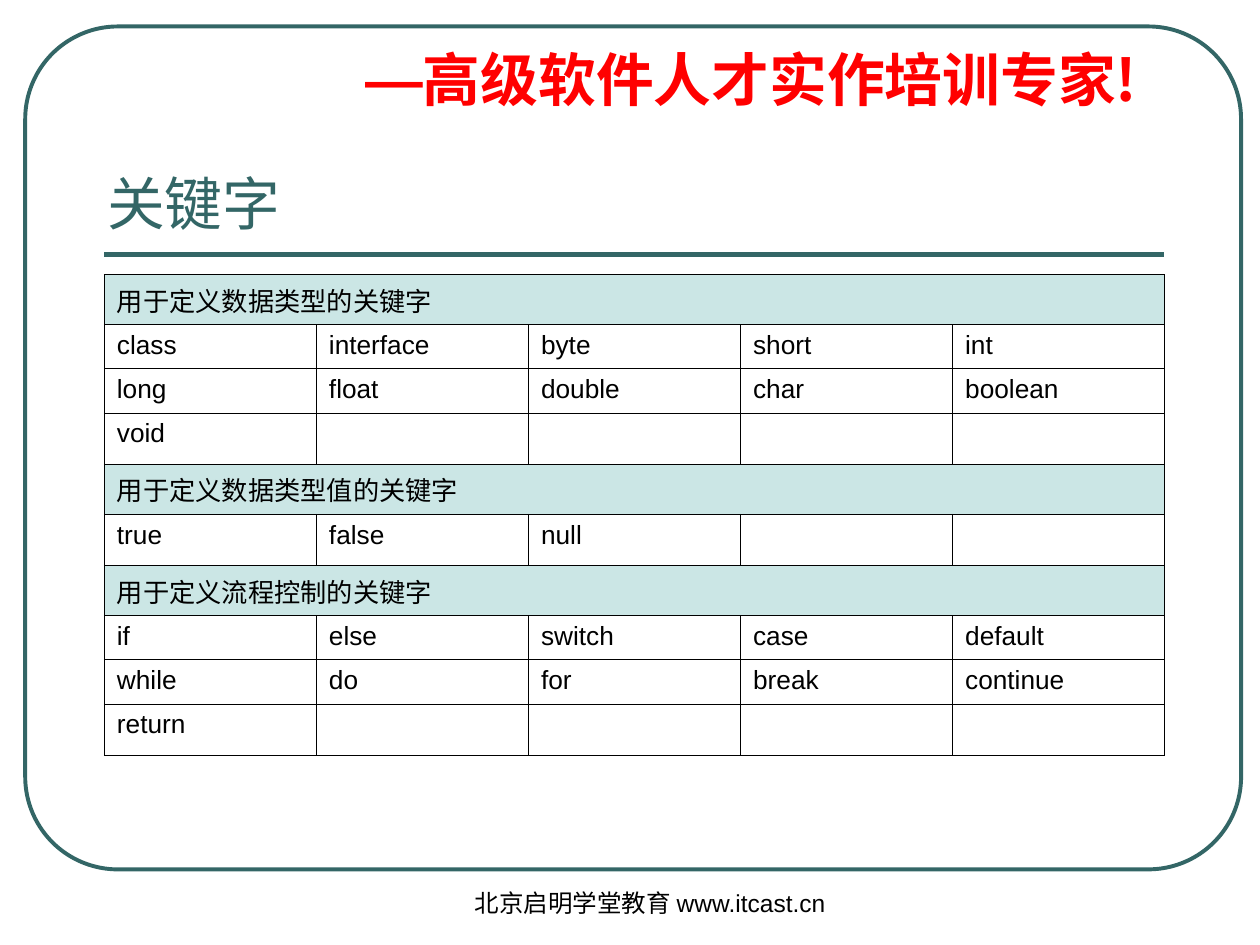
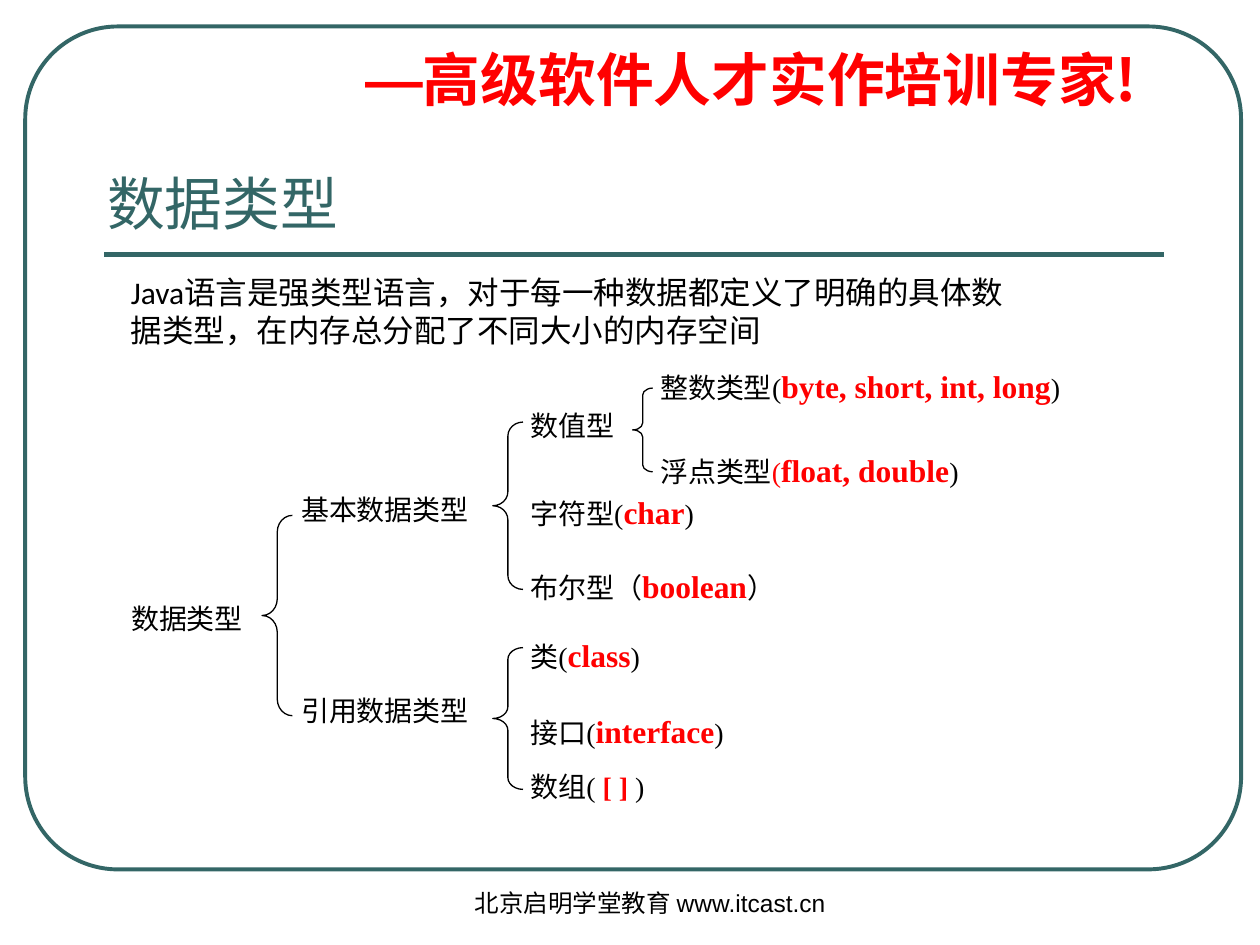
from lxml.etree import SubElement
from pptx import Presentation
from pptx.dml.color import RGBColor
from pptx.enum.shapes import MSO_CONNECTOR, MSO_SHAPE
from pptx.enum.text import MSO_ANCHOR, MSO_AUTO_SIZE, PP_ALIGN
from pptx.oxml.ns import qn
from pptx.util import Pt

TEAL, RED, BLACK, WHITE, PALE_TEAL = "336666", "FF0000", "000000", "FFFFFF", "CBE6E5"
TITLE_FONT, CHINESE_FONT = "Montserrat", "Noto Sans CJK SC"
BODY_FONT, TREE_FONT, INTRO_FONT = "Arial", "Times New Roman", "Calibri"
TITLE_SIZE = 33

KEYWORD_GROUPS = [
    ("用于定义数据类型的关键字",
     ["class interface byte short int", "long float double char boolean", "void"]),
    ("用于定义数据类型值的关键字", ["true false null"]),
    ("用于定义流程控制的关键字",
     ["if else switch case default", "while do for break continue", "return"]),
]
KEYWORD_COLUMNS = 5

PLAIN = (16, BLACK, False)
KEYWORD = (18, RED, True)
TREE_LABELS = [
    (0, 133.9, 120, [("数据类型", PLAIN)]),
    (97.2, 72, 120, [("基本数据类型", PLAIN)]),
    (97.2, 186.5, 120, [("引用数据类型", PLAIN)]),
    (228.2, 23.8, 68.4, [("数值型", PLAIN)]),
    (228.2, 72, 137, [("字符型(", PLAIN), ("char", KEYWORD), (")", PLAIN)]),
    (228.2, 114.5, 180, [("布尔型（", PLAIN), ("boolean", KEYWORD), ("）", PLAIN)]),
    (302.4, 0, 245, [("整数类型(", PLAIN), ("byte, short, int, long", KEYWORD), (")", PLAIN)]),
    (302.4, 48.2, 197, [("浮点类型", PLAIN), ("(", (16, RED, False)),
                        ("float, double", KEYWORD), (")", PLAIN)]),
    (228.2, 154, 114, [("类(", PLAIN), ("class", KEYWORD), (")", PLAIN)]),
    (228.2, 197.3, 137, [("接口(", PLAIN), ("interface", KEYWORD), (")", PLAIN)]),
    (228.2, 230.4, 137, [("数组( ", PLAIN), ("[ ]", (16, RED, True)), (" )", PLAIN)]),
]
TREE_BRACES = [
    (79.2, 87.1, 17.3, 114.5),
    (211, 33.8, 17.3, 95.6),
    (290.9, 14.4, 11.5, 47.8),
    (211, 162.7, 17.3, 81),
]


def color(value):
    return RGBColor.from_string(value)


def points(*lengths):
    return [Pt(length) for length in lengths]


def add_run(paragraph, text, size, font, hex_color, bold=False, east_asian=CHINESE_FONT):
    run = paragraph.add_run()
    run.text = text
    run.font.size = Pt(size)
    run.font.bold = bold
    run.font.color.rgb = color(hex_color)
    run.font.name = font
    SubElement(run.font._element, qn("a:ea"), typeface=east_asian)


def add_text_box(slide, box, insets=(7.2, 3.6)):
    frame = slide.shapes.add_textbox(*points(*box)).text_frame
    frame.word_wrap = True
    frame.margin_left = frame.margin_right = Pt(insets[0])
    frame.margin_top = frame.margin_bottom = Pt(insets[1])
    return frame.paragraphs[0]


def add_outline(slide, preset, box, hex_color, width):
    shape = slide.shapes.add_shape(preset, *points(*box))
    shape.shadow.inherit = False
    shape.fill.background()
    shape.line.color.rgb = color(hex_color)
    shape.line.width = Pt(width)
    return shape


def add_frame(slide, box):
    left, top, width, height = box
    border = add_outline(slide, MSO_SHAPE.ROUNDED_RECTANGLE, box, TEAL, 2.25)
    border.adjustments[0] = 0.11
    rule = slide.shapes.add_connector(
        MSO_CONNECTOR.STRAIGHT,
        *points(left + 45.2, top + 130.3, left + 651, top + 130.3))
    rule.line.color.rgb = color(TEAL)
    rule.line.width = Pt(3)
    SubElement(rule._element.spPr, qn("a:effectLst"))


def add_slogan(slide, box):
    paragraph = add_text_box(slide, box)
    paragraph.line_spacing = 0.9
    properties = paragraph._p.get_or_add_pPr()
    properties.set("marL", str(Pt(27)))
    properties.set("indent", str(-Pt(27)))
    add_run(paragraph, "—", TITLE_SIZE, TITLE_FONT, RED, True, TITLE_FONT)
    add_run(paragraph, "高级软件人才实作培训专家!", TITLE_SIZE, CHINESE_FONT, RED, True)


def format_title(slide, text, box):
    title = slide.shapes.title
    title.left, title.top, title.width, title.height = points(*box)
    frame = title.text_frame
    frame.auto_size = MSO_AUTO_SIZE.NONE
    frame.vertical_anchor = MSO_ANCHOR.BOTTOM
    frame.paragraphs[0].alignment = PP_ALIGN.LEFT
    add_run(frame.paragraphs[0], text, TITLE_SIZE, TITLE_FONT, TEAL)


def add_footer(slide, box):
    paragraph = add_text_box(slide, box)
    add_run(paragraph, "北京启明学堂教育 www.itcast.cn", 14, BODY_FONT, BLACK)


def add_base_slide(presentation, title):
    slide = presentation.slides.add_slide(presentation.slide_layouts[5])
    add_frame(slide, (14.4, 15.1, 694.8, 481.7))
    add_slogan(slide, (201.6, 25.9, 453.6, 78.5))
    format_title(slide, title, (54, 25.9, 606.2, 113))
    add_footer(slide, (264.2, 504, 228.2, 36))
    return slide


def format_cell(cell, fill):
    cell.fill.solid()
    cell.fill.fore_color.rgb = color(fill)
    properties = cell._tc.get_or_add_tcPr()
    for position, side in enumerate(("lnL", "lnR", "lnT", "lnB")):
        border = SubElement(properties, qn(f"a:{side}"), w=str(Pt(0.45)))
        fill_element = SubElement(border, qn("a:solidFill"))
        SubElement(fill_element, qn("a:srgbClr"), val=BLACK)
        properties.insert(position, border)


def add_keyword_table(slide, box):
    rows = []
    for heading, lines in KEYWORD_GROUPS:
        rows.append(([heading], PALE_TEAL, 28.6))
        for line in lines:
            words = line.split()
            rows.append((words, WHITE, 25.3 if len(words) == KEYWORD_COLUMNS else 29.3))
    table = slide.shapes.add_table(len(rows), KEYWORD_COLUMNS, *points(*box)).table
    table.first_row = table.horz_banding = False
    for column in table.columns:
        column.width = Pt(box[2] / KEYWORD_COLUMNS)
    for index, (words, fill, height) in enumerate(rows):
        table.rows[index].height = Pt(height)
        cells = [table.cell(index, column) for column in range(KEYWORD_COLUMNS)]
        for cell in cells:
            format_cell(cell, fill)
        for cell, word in zip(cells, words):
            add_run(cell.text_frame.paragraphs[0], word, 15, BODY_FONT, BLACK)
        if fill == PALE_TEAL:
            cells[0].merge(cells[-1])


def add_type_tree(slide, left, top):
    for x, y, width, height in TREE_BRACES:
        brace = add_outline(slide, MSO_SHAPE.LEFT_BRACE,
                            (left + x, top + y, width, height), BLACK, 0.75)
        brace.adjustments[0] = height / 12 / width
    for x, y, width, runs in TREE_LABELS:
        paragraph = add_text_box(slide, (left + x, top + y, width, 25), (4.3, 2.2))
        paragraph.alignment = PP_ALIGN.JUSTIFY
        for text, (size, hex_color, bold) in runs:
            add_run(paragraph, text, size, TREE_FONT, hex_color, bold)


def add_introduction(slide, box):
    paragraph = add_text_box(slide, box)
    add_run(paragraph,
            "Java语言是强类型语言，对于每一种数据都定义了明确的具体数据类型，"
            "在内存总分配了不同大小的内存空间", 18, INTRO_FONT, BLACK)


def main():
    presentation = Presentation()
    presentation.slide_width, presentation.slide_height = points(720, 540)
    keywords = add_base_slide(presentation, "关键字")
    add_keyword_table(keywords, (59.6, 156.8, 606, 275))
    types = add_base_slide(presentation, "数据类型")
    add_introduction(types, (67.7, 152.6, 513.4, 50.4))
    add_type_tree(types, 70.6, 207.4)
    presentation.save("out.pptx")


if __name__ == "__main__":
    main()
